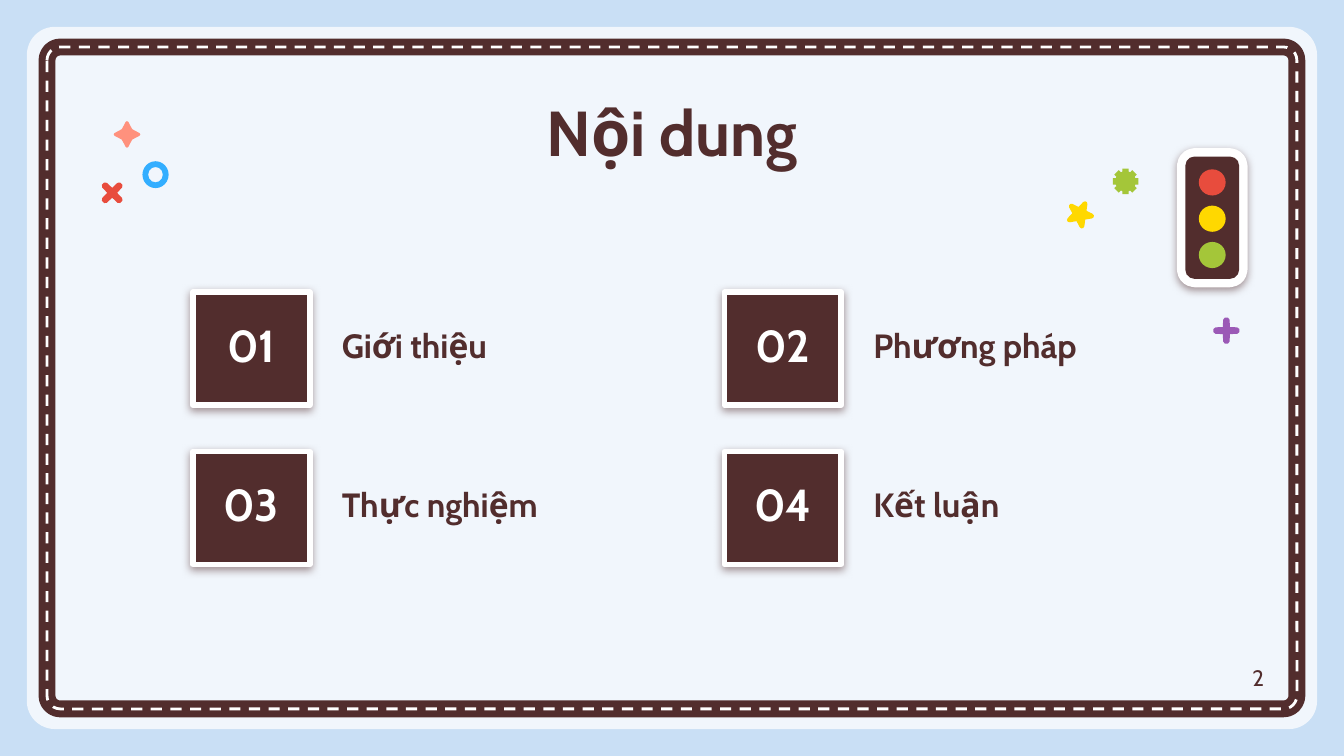
from dataclasses import dataclass
from math import cos, radians, sin

from lxml import etree
from pptx import Presentation
from pptx.dml.color import RGBColor
from pptx.enum.dml import MSO_LINE
from pptx.enum.shapes import MSO_SHAPE
from pptx.enum.text import MSO_ANCHOR, PP_ALIGN
from pptx.oxml.ns import qn
from pptx.util import Pt

PX = 4572  # EMU in one px, 200 px to the inch
FONT = "Cabin"
BROWN, WHITE, SKY = "522D2D", "FFFFFF", "C9DFF5"
RED, GOLD, GREEN = "E84C3D", "FFD800", "A4C639"
BLUE, CORAL, PURPLE = "33AEFF", "FF917D", "9B59B6"
RECT, ROUND = MSO_SHAPE.RECTANGLE, MSO_SHAPE.ROUNDED_RECTANGLE
OVAL, DONUT = MSO_SHAPE.OVAL, MSO_SHAPE.DONUT
DASH = MSO_LINE.DASH
TOP, BOTTOM = MSO_ANCHOR.TOP, MSO_ANCHOR.BOTTOM
LEFT, CENTER = PP_ALIGN.LEFT, PP_ALIGN.CENTER


@dataclass
class Box:
    x: int
    y: int
    w: int
    h: int

    def emu(self) -> list[int]:
        return [n * PX for n in (self.x, self.y, self.w, self.h)]


@dataclass
class Look:
    fill: str = ""
    line: str = ""
    width: float = 0
    shadow: bool = False


@dataclass
class Style:
    size: int
    color: str = BROWN
    bold: bool = True
    align: PP_ALIGN = LEFT
    anchor: MSO_ANCHOR = TOP
    pad: tuple = (20, 20, 20, 20)


@dataclass
class Charm:
    """A small ornament: one lobe, as (degrees, % of radius), turned around."""
    x: int
    y: int
    color: str
    lobe: tuple
    count: int
    turn: int = 0
    radius: int = 20


@dataclass
class Item:
    number: str
    label: str


CROSS = ((-45, 37), (-17, 84), (-7, 97), (7, 97), (17, 84))
SPARK = ((-45, 55), (-22, 68), (-6, 94), (0, 99), (6, 94), (22, 68))
COG = ((-18, 76), (-14, 98), (14, 98), (18, 76))
STAR = ((-36, 56), (-11, 94), (-4, 105), (4, 105), (11, 94))

CHARMS = [
    Charm(1675, 270, GREEN, COG, 8),
    Charm(1825, 492, PURPLE, CROSS, 4),
    Charm(1607, 319, GOLD, STAR, 5, turn=-64),
    Charm(167, 287, RED, CROSS, 4, turn=45),
    Charm(189, 200, CORAL, SPARK, 4),
]
ITEMS = [
    Item("01", "Giới thiệu"), Item("02", "Phương pháp"),
    Item("03", "Thực nghiệm"), Item("04", "Kết luận"),
]

TITLE = Style(34, align=CENTER)
NUMBER = Style(24, WHITE, align=CENTER, anchor=BOTTOM, pad=(20, 20, 20, 50))
LABEL = Style(18, anchor=BOTTOM)
PAGE = Style(12, bold=False, pad=(20, 10, 20, 10))
TILE = Look(BROWN, WHITE, 3, shadow=True)


def rgb(code: str) -> RGBColor:
    return RGBColor.from_string(code)


def fade(parent, percent: int) -> None:
    """Set the opacity of the colour inside parent."""
    color = next(parent.iter(qn("a:srgbClr")))
    etree.SubElement(color, qn("a:alpha"), val=str(percent * 1000))


def paint(shape, look: Look) -> None:
    shape.shadow.inherit = False
    if look.fill:
        shape.fill.solid()
        shape.fill.fore_color.rgb = rgb(look.fill)
    else:
        shape.fill.background()
    if look.line:
        shape.line.color.rgb = rgb(look.line)
        shape.line.width = Pt(look.width)
    else:
        shape.line.fill.background()
    if look.shadow:
        effects = shape._element.spPr.find(qn("a:effectLst"))
        outer = etree.SubElement(
            effects, qn("a:outerShdw"), blurRad=str(Pt(4.5)), dist=str(Pt(1.5)),
            dir="5400000", algn="bl", rotWithShape="0")
        etree.SubElement(outer, qn("a:srgbClr"), val=BROWN)
        fade(outer, 50)


def draw(slide, kind, box: Box, look: Look, bend: float | None = None):
    shape = slide.shapes.add_shape(kind, *box.emu())
    if bend is not None:
        shape.adjustments[0] = bend
    paint(shape, look)
    return shape


def write(shape, text: str, style: Style) -> None:
    frame = shape.text_frame
    frame.word_wrap = True
    frame.vertical_anchor = style.anchor
    (frame.margin_left, frame.margin_top, frame.margin_right,
     frame.margin_bottom) = [n * PX for n in style.pad]
    para = frame.paragraphs[0]
    para.text = text
    para.alignment = style.align
    font = para.font
    font.name, font.size, font.bold = FONT, Pt(style.size), style.bold
    font.color.rgb = rgb(style.color)


def note(slide, box: Box, text: str, style: Style) -> None:
    write(slide.shapes.add_textbox(*box.emu()), text, style)


def adorn(slide, charm: Charm) -> None:
    points = []
    for i in range(charm.count):
        for angle, part in charm.lobe:
            turn = radians(angle + charm.turn + i * 360 / charm.count)
            reach = charm.radius * part / 100
            points.append(((charm.x + reach * cos(turn)) * PX,
                           (charm.y + reach * sin(turn)) * PX))
    pen = slide.shapes.build_freeform(*points[0])
    pen.add_line_segments(points[1:], close=True)
    paint(pen.convert_to_shape(), Look(charm.color))


def border(slide) -> None:
    card = draw(slide, ROUND, Box(40, 40, 1920, 1045), Look(WHITE), 0.04)
    fade(card._element.spPr, 75)
    edge = Box(70, 70, 1860, 985)
    draw(slide, ROUND, edge, Look(line=BROWN, width=9), 0.02)
    seam = draw(slide, ROUND, edge, Look(line=WHITE, width=1.5), 0.02)
    seam.line.dash_style = DASH


def signal(slide) -> None:
    """Draw the traffic light."""
    body = Box(1764, 233, 80, 182)
    for look in (Look(WHITE, WHITE, 9, shadow=True), Look(BROWN)):
        draw(slide, ROUND, body, look, 0.17)
    for i, color in enumerate((RED, GOLD, GREEN)):
        draw(slide, OVAL, Box(1784, 252 + 54 * i, 40, 39), Look(color))


def main() -> None:
    deck = Presentation()
    deck.slide_width, deck.slide_height = 2000 * PX, 1125 * PX
    slide = deck.slides.add_slide(deck.slide_layouts[6])
    slide.background.fill.solid()
    slide.background.fill.fore_color.rgb = rgb(SKY)

    border(slide)
    note(slide, Box(156, 118, 1688, 116), "Nội dung", TITLE)
    for charm in CHARMS:
        adorn(slide, charm)
    draw(slide, DONUT, Box(212, 240, 39, 40), Look(BLUE), 0.22)
    signal(slide)
    for i, item in enumerate(ITEMS):
        row, col = divmod(i, 2)
        x, y = 287 + 791 * col, 435 + 237 * row
        write(draw(slide, RECT, Box(x, y, 174, 168), TILE), item.number, NUMBER)
        note(slide, Box(x + 202, y + 28, 562, 100), item.label, LABEL)
    note(slide, Box(1844, 978, 58, 60), "2", PAGE)
    deck.save("out.pptx")


if __name__ == "__main__":
    main()
